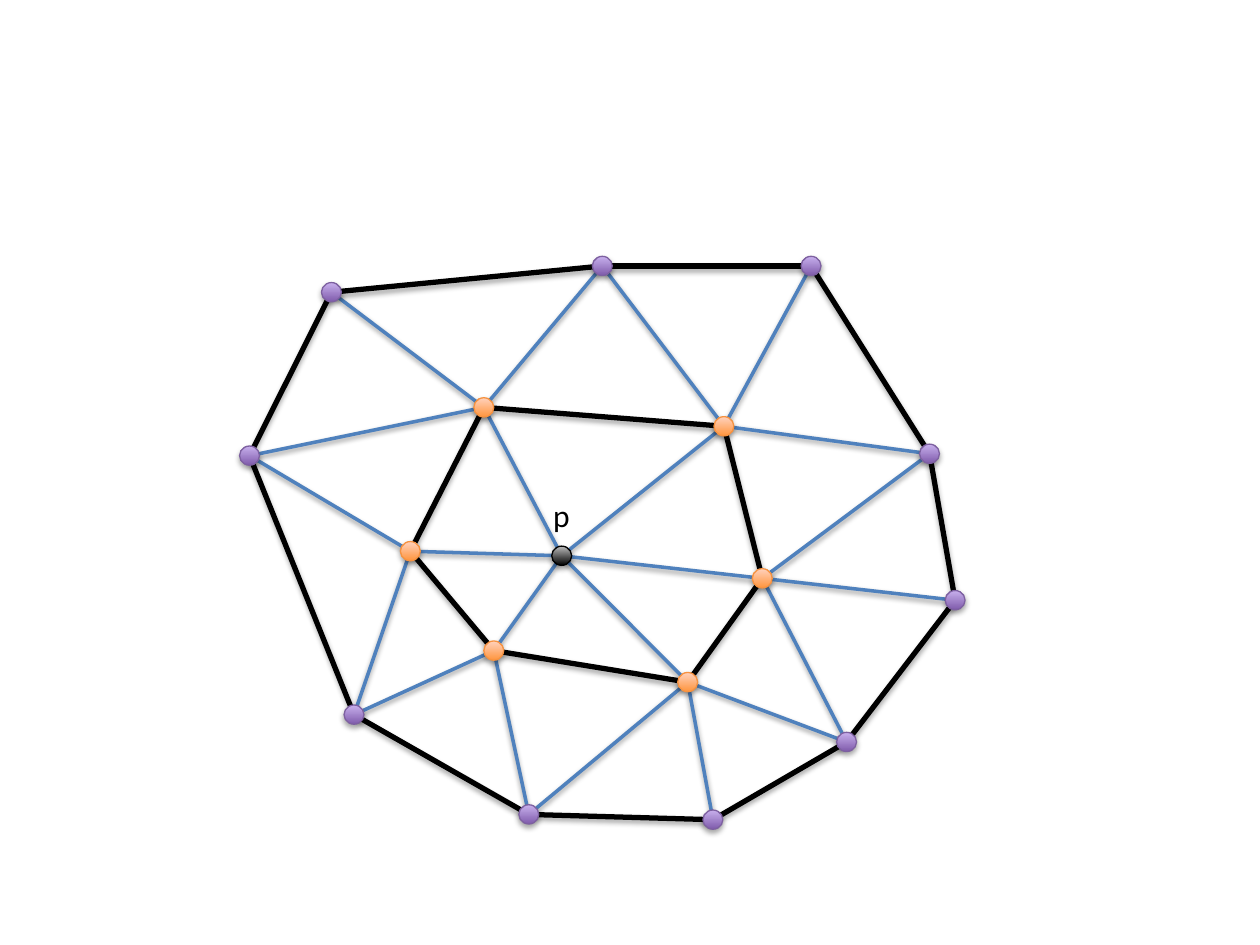
"""Build a slide showing a point p with its one-ring and two-ring mesh neighbours."""
import pptx
import pptx.dml.color
import pptx.enum.shapes
import pptx.enum.text
import pptx.oxml
import pptx.oxml.ns
import pptx.util

Pt = pptx.util.Pt
Color = pptx.dml.color.RGBColor.from_string

THEME = {
    "font": {"name": "Calibri", "size": Pt(18)},
    "text": "000000",
    "spoke": {"color": "4F81BD", "width": 2, "opacity": 38, "drop": 1.6},
    "ring": {"color": "000000", "width": 3, "opacity": 35, "drop": 1.8},
    "center": {"bottom": "000000", "top": "BDBDBD", "outline": "000000"},
    "inner": {"bottom": "FF953E", "top": "FFD2BD", "outline": "F69240"},
    "outer": {"bottom": "7F5BAB", "top": "C8B0ED", "outline": "7D60A0"},
}
NODE_WIDTH, NODE_HEIGHT = 11.4, 11

center = (321, 317.6)
inner = [(276.5, 232.8), (413.7, 243.6), (435.6, 330.5),
         (393, 389.8), (282.2, 371.8), (234.5, 315)]
outer = [(189.4, 167), (344.2, 152), (463.5, 152), (531.2, 259.3), (545.8, 343),
         (483.8, 424), (407.4, 468.4), (302.2, 465.4), (202.3, 408.4), (142.6, 260.4)]
outer_neighbours = [(9, 0, 1), (1, 2, 3), (3, 4, 5), (5, 6, 7), (7, 8), (8, 9)]


def add_shadow(shape, opacity, drop):
    """Append a soft shadow falling straight down."""
    shape.element.spPr.append(pptx.oxml.parse_xml(
        f'<a:effectLst {pptx.oxml.ns.nsdecls("a")}>'
        f'<a:outerShdw blurRad="{Pt(3.1)}" dist="{Pt(drop)}" dir="5400000" rotWithShape="0">'
        f'<a:srgbClr val="000000"><a:alpha val="{opacity * 1000}"/></a:srgbClr>'
        '</a:outerShdw></a:effectLst>'))


deck = pptx.Presentation()
deck.slide_width, deck.slide_height = Pt(720), Pt(540)
page = deck.slides.add_slide(deck.slide_layouts[6])
mesh = page.shapes.add_group_shape().shapes

edges = [("spoke", center, node) for node in inner]
for node, neighbours in zip(inner, outer_neighbours):
    edges += [("spoke", node, outer[index]) for index in neighbours]
for ring in (inner, outer):
    edges += [("ring", start, end) for start, end in zip(ring, ring[1:] + ring[:1])]

for kind, start, end in edges:
    style = THEME[kind]
    edge = mesh.add_connector(pptx.enum.shapes.MSO_CONNECTOR.STRAIGHT,
                              *(Pt(value) for value in start + end))
    edge.line.color.rgb = Color(style["color"])
    edge.line.width = Pt(style["width"])
    add_shadow(edge, style["opacity"], style["drop"])

for kind, nodes in (("center", [center]), ("inner", inner), ("outer", outer)):
    style = THEME[kind]
    for x, y in nodes:
        node = mesh.add_shape(pptx.enum.shapes.MSO_SHAPE.OVAL,
                              Pt(x - NODE_WIDTH / 2), Pt(y - NODE_HEIGHT / 2),
                              Pt(NODE_WIDTH), Pt(NODE_HEIGHT))
        node.fill.gradient()
        node.fill.gradient_angle = 90
        for stop, position, end in zip(node.fill.gradient_stops, (0, 1), ("bottom", "top")):
            stop.position = position
            stop.color.rgb = Color(style[end])
        node.line.color.rgb = Color(style["outline"])
        node.line.width = Pt(0.75)
        add_shadow(node, THEME["ring"]["opacity"], THEME["ring"]["drop"])

box = mesh.add_textbox(Pt(309), Pt(280), Pt(23.8), Pt(29))
frame_format = {"word_wrap": False, "auto_size": pptx.enum.text.MSO_AUTO_SIZE.SHAPE_TO_FIT_TEXT}
for name, value in frame_format.items():
    setattr(box.text_frame, name, value)
span = box.text_frame.paragraphs[0].add_run()
span.text = "p"
for name, value in THEME["font"].items():
    setattr(span.font, name, value)
span.font.color.rgb = Color(THEME["text"])

deck.save("out.pptx")
